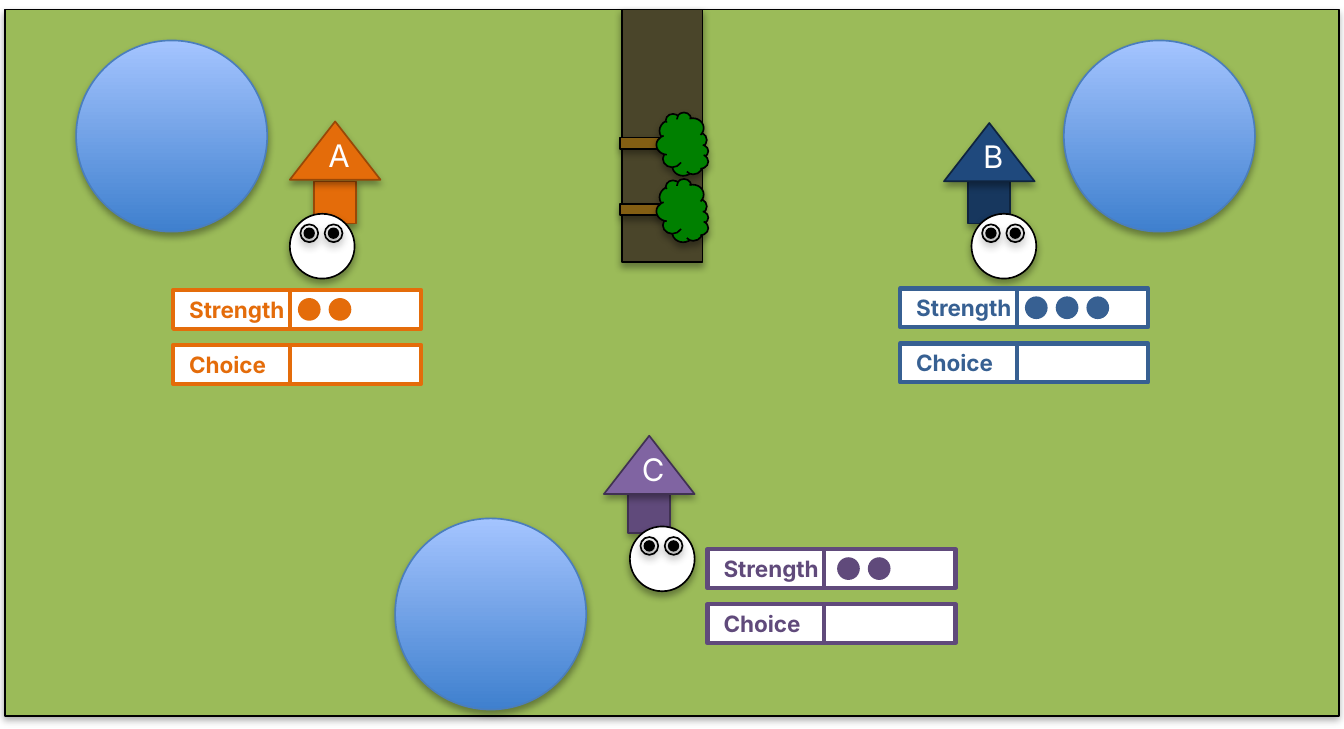
from dataclasses import dataclass

from lxml import etree
from pptx import Presentation
from pptx.dml.color import RGBColor
from pptx.enum.shapes import MSO_CONNECTOR, MSO_SHAPE
from pptx.enum.text import MSO_ANCHOR, PP_ALIGN
from pptx.oxml import parse_xml
from pptx.oxml.ns import qn
from pptx.util import Inches, Pt

RECTANGLE = MSO_SHAPE.RECTANGLE
OVAL = MSO_SHAPE.OVAL
CLOUD = MSO_SHAPE.CLOUD
TRIANGLE = MSO_SHAPE.ISOSCELES_TRIANGLE
STRAIGHT = MSO_CONNECTOR.STRAIGHT
MIDDLE = MSO_ANCHOR.MIDDLE
BOTTOM = MSO_ANCHOR.BOTTOM
LEFT = PP_ALIGN.LEFT
CENTER = PP_ALIGN.CENTER
SHADOW_XML = (
    '<a:outerShdw xmlns:a="http://schemas.openxmlformats.org/drawingml/2006/main"'
    ' blurRad="40000" dist="23000" dir="5400000" rotWithShape="0">'
    '<a:srgbClr val="000000"><a:alpha val="35000"/></a:srgbClr></a:outerShdw>'
)


@dataclass(frozen=True)
class Theme:
    """Colours, type and line widths of the game board."""
    grass: str = "9BBB59"
    water_deep: str = "3F80CE"
    water_light: str = "A4C4FF"
    water_edge: str = "4B7EBC"
    road: str = "4A452A"
    trunk: str = "835E13"
    leaves: str = "008000"
    black: str = "000000"
    white: str = "FFFFFF"
    font: str = "Inter"
    label_size: float = 10
    letter_size: float = 13.8
    outline: float = 0.75
    divider: float = 1.5
    frame: float = 2


@dataclass(frozen=True)
class Player:
    """One player's colours, score and places on the board."""
    letter: str
    roof_color: str
    wall_color: str
    edge_color: str
    card_color: str
    strength: int
    roof: tuple
    wall: tuple
    head: tuple
    card: tuple
    dot_offset: float


THEME = Theme()
PLAYERS = [
    Player("A", "E46C0A", "E46C0A", "984807", "E46C0A", 2,
           (1.79, 0.75), (1.94, 1.12), (1.79, 1.32), (1.07, 1.79), 0.77),
    Player("C", "8064A2", "604A7B", "403152", "604A7B", 2,
           (3.73, 2.69), (3.88, 3.03), (3.89, 3.25), (4.37, 3.39), 0.8),
    Player("B", "1F497D", "17375E", "0F243E", "376092", 3,
           (5.83, 0.76), (5.98, 1.12), (6, 1.32), (5.56, 1.78), 0.77),
]
PONDS = [(0.47, 0.25), (2.44, 3.2), (6.57, 0.25)]


def color(value):
    """Turn a hex string into a colour."""
    return RGBColor.from_string(value)


def add_part(shapes, kind, box, fill=None, line=None, width=THEME.outline, shadow=True):
    """Add a preset shape with its fill, outline and optional shadow."""
    shape = shapes.add_shape(kind, *map(Inches, box))
    if fill:
        shape.fill.solid()
        shape.fill.fore_color.rgb = color(fill)
    else:
        shape.fill.background()
    if line:
        shape.line.color.rgb = color(line)
        shape.line.width = Pt(width)
    else:
        shape.line.fill.background()
    shape.shadow.inherit = False
    if shadow:
        shape._element.spPr.find(qn("a:effectLst")).append(parse_xml(SHADOW_XML))
    return shape


def write_text(shape, text, size, text_color, bold, align, anchor, left, bottom):
    """Write one line of text in a shape."""
    frame = shape.text_frame
    frame.text = text
    frame.word_wrap = False
    frame.vertical_anchor = anchor
    frame.margin_left, frame.margin_bottom = Inches(left), Inches(bottom)
    frame.margin_right = frame.margin_top = 0
    paragraph = frame.paragraphs[0]
    paragraph.alignment = align
    font = paragraph.runs[0].font
    font.name, font.size, font.bold = THEME.font, Pt(size), bold
    font.color.rgb = color(text_color)


def add_pond(shapes, left, top, size=1.18):
    """Add a round pond with a vertical gradient."""
    pond = add_part(shapes, OVAL, (left, top, size, size), THEME.water_deep, THEME.water_edge)
    pond.fill.gradient()
    pond.fill.gradient_angle = 90
    for stop, value in zip(pond.fill.gradient_stops, (THEME.water_deep, THEME.water_light)):
        stop.color.rgb = color(value)


def add_tree(shapes, left, top):
    """Add a tree lying on its side."""
    tree = shapes.add_group_shape().shapes
    trunk = add_part(tree, RECTANGLE, (left, top, 0.07, 0.37), THEME.trunk, THEME.black)
    crown = add_part(tree, CLOUD, (left + 0.04, top + 0.03, 0.39, 0.32),
                     THEME.leaves, THEME.black)
    trunk.rotation = crown.rotation = 90


def add_head(shapes, left, top):
    """Add a round head with two eyes."""
    head = shapes.add_group_shape().shapes
    add_part(head, OVAL, (left, top, 0.4, 0.4), THEME.white, THEME.black)
    for offset, size, fill in ((0.065, 0.11, None), (0.09, 0.06, THEME.black)):
        for eye in range(2):
            add_part(head, OVAL, (left + offset + eye * 0.15, top + offset, size, size),
                     fill, THEME.black)


def add_house(shapes, player):
    """Add a player's wall, head and lettered roof."""
    add_part(shapes, RECTANGLE, (*player.wall, 0.26, 0.26), player.wall_color, player.edge_color)
    add_head(shapes, *player.head)
    roof = add_part(shapes, TRIANGLE, (*player.roof, 0.56, 0.36),
                    player.roof_color, player.edge_color)
    write_text(roof, player.letter, THEME.letter_size, THEME.white, False,
               CENTER, BOTTOM, 0.05, 0.04)


def add_card(shapes, player, width=1.53, height=0.24, pitch=0.34, split=0.72):
    """Add a player's strength and choice boxes with the strength dots."""
    left, top = player.card
    for row, label in enumerate(("Strength", "Choice")):
        y = top + row * pitch
        box = add_part(shapes, RECTANGLE, (left, y, width, height), THEME.white,
                       player.card_color, THEME.frame, shadow=False)
        write_text(box, label, THEME.label_size, player.card_color, True, LEFT, MIDDLE, 0.1, 0)
        divider = shapes.add_connector(
            STRAIGHT, *map(Inches, (left + split, y, left + split, y + height)))
        divider.line.color.rgb = color(player.card_color)
        divider.line.width = Pt(THEME.divider)
        etree.SubElement(divider._element.spPr, qn("a:effectLst"))
    for dot in range(player.strength):
        add_part(shapes, OVAL, (left + player.dot_offset + dot * 0.19, top + 0.05, 0.14, 0.14),
                 player.card_color, shadow=False)


def add_board(shapes, left, top, width, height):
    """Add the meadow with its ponds, road and trees."""
    add_part(shapes, RECTANGLE, (left, top, width, height), THEME.grass, THEME.black)
    for pond in PONDS:
        add_pond(shapes, *pond)
    road_left = left + 3.81
    add_part(shapes, RECTANGLE, (road_left, top, 0.5, 1.56), THEME.road, THEME.black)
    for tree in range(2):
        add_tree(shapes, road_left + 0.14, top + 0.64 + tree * 0.41)


def main():
    """Build and save the game board slide."""
    presentation = Presentation()
    presentation.slide_width, presentation.slide_height = Inches(8.3), Inches(4.5)
    slide = presentation.slides.add_slide(presentation.slide_layouts[6])
    add_board(slide.shapes, 0.03, 0.06, 8.24, 4.36)
    for player in PLAYERS:
        add_house(slide.shapes, player)
        add_card(slide.shapes, player)
    presentation.save("out.pptx")


if __name__ == "__main__":
    main()
